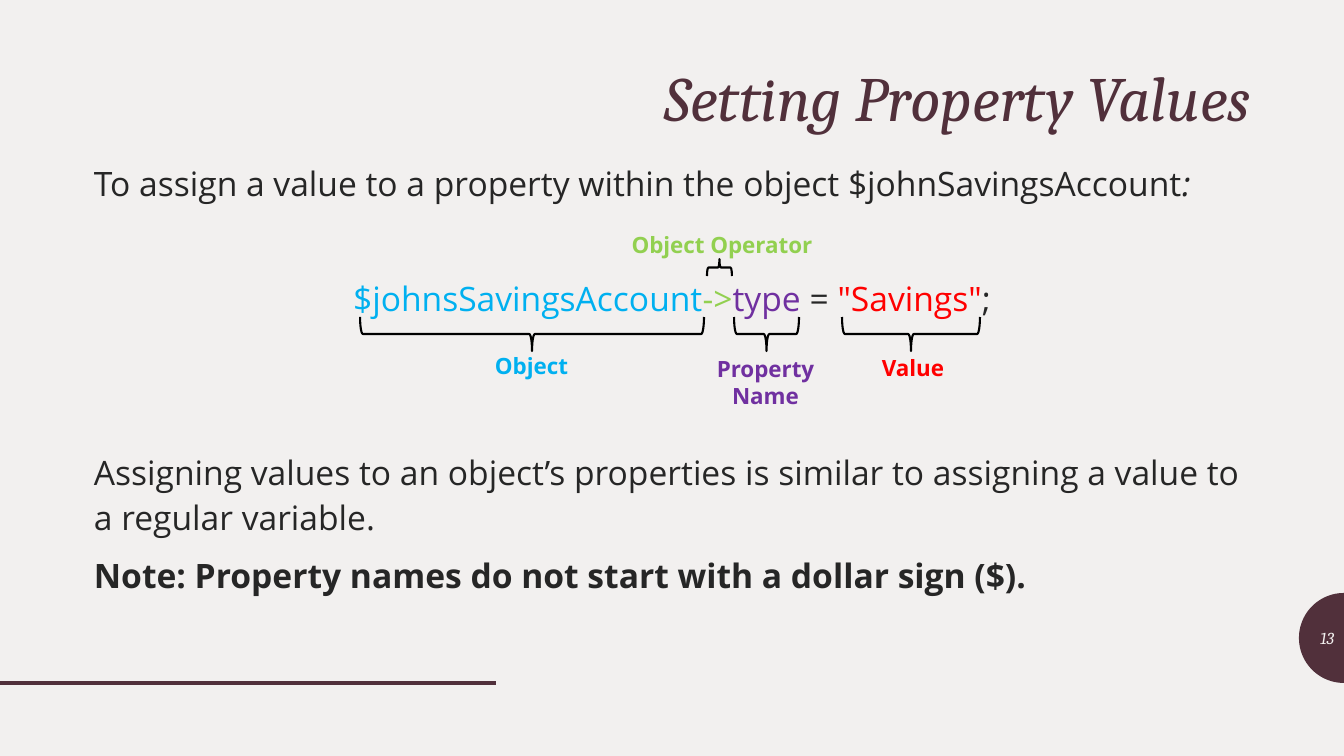
from dataclasses import dataclass
from math import cos, pi, sin

from lxml.etree import SubElement
from pptx import Presentation
from pptx.dml.color import RGBColor
from pptx.enum.shapes import MSO_CONNECTOR, MSO_SHAPE
from pptx.enum.text import MSO_ANCHOR, MSO_AUTO_SIZE, PP_ALIGN
from pptx.oxml.ns import qn
from pptx.util import Emu, Pt


@dataclass(frozen=True)
class Theme:
    background: str = "F2F0EF"
    accent: str = "51303B"
    ink: str = "262626"
    brace: str = "000000"
    object: str = "00B0F0"
    operator: str = "92D050"
    property: str = "7030A0"
    value: str = "FF0000"
    heading_font: str = "Cambria"
    body_font: str = "Open Sans"
    title_size: int = 45
    body_size: int = 24
    label_size: int = 16
    number_size: int = 12


THEME = Theme()
SLIDE_WIDTH, SLIDE_HEIGHT = 1344, 756
SCALE = 12192000 / SLIDE_WIDTH


def px(*lengths):
    return [Emu(round(length * SCALE)) for length in lengths]


def rgb(colour):
    return RGBColor.from_string(colour)


def write(frame, paragraphs, *, size, font=THEME.body_font, colour=THEME.ink, bold=False,
          italic=False, align=PP_ALIGN.LEFT, spacing=None, before=(), wrap=True,
          anchor=MSO_ANCHOR.TOP):
    """Fill a frame; each paragraph is a list of (text, overrides) runs."""
    frame.word_wrap = wrap
    frame.auto_size = MSO_AUTO_SIZE.NONE
    frame.vertical_anchor = anchor
    for index, runs in enumerate(paragraphs):
        paragraph = frame.add_paragraph() if index else frame.paragraphs[0]
        paragraph.alignment = align[index] if isinstance(align, list) else align
        if spacing:
            paragraph.line_spacing = spacing
        if before:
            paragraph.space_before = Pt(before[index])
        for text, overrides in runs:
            run = paragraph.add_run()
            run.text = text
            run.font.name = font
            run.font.size = Pt(size)
            run.font.bold = overrides.get("bold", bold)
            run.font.italic = overrides.get("italic", italic)
            run.font.color.rgb = rgb(overrides.get("colour", colour))


def add_text(slide, box, paragraphs, **text_format):
    write(slide.shapes.add_textbox(*px(*box)).text_frame, paragraphs, **text_format)


def add_title(slide, box, text):
    title = slide.shapes.title
    title.left, title.top, title.width, title.height = px(*box)
    write(title.text_frame, [[(text, {})]], size=THEME.title_size, font=THEME.heading_font,
          colour=THEME.accent, italic=True, align=PP_ALIGN.RIGHT, spacing=0.9,
          anchor=MSO_ANCHOR.MIDDLE)


def add_body(slide, box):
    statement = [
        ("$johnsSavingsAccount", {"colour": THEME.object}),
        ("->", {"colour": THEME.operator}),
        ("type", {"colour": THEME.property}),
        (" = ", {}),
        ('"Savings"', {"colour": THEME.value}),
        (";", {}),
    ]
    paragraphs = [
        [("To assign a value to a property within the object $johnSavingsAccount", {}),
         (":", {"italic": True})],
        statement,
        [("Assigning values to an object’s properties is similar to assigning "
          "a value to a regular variable.", {})],
        [("Note: Property names do not start with a dollar sign ($).", {"bold": True})],
    ]
    left = PP_ALIGN.LEFT
    add_text(slide, box, paragraphs, size=THEME.body_size, spacing=1.12,
             before=[0, 50, 92, 9], align=[left, PP_ALIGN.CENTER, left, left])


def add_brace(slide, box, rotation):
    """Draw a brace that fills the box once it is turned."""
    left, top, width, height = box
    turned = (left + (width - height) / 2, top + (height - width) / 2, height, width)
    brace = slide.shapes.add_shape(MSO_SHAPE.RIGHT_BRACE, *px(*turned))
    brace.rotation = rotation
    brace.shadow.inherit = False
    brace.fill.background()
    brace.line.color.rgb = rgb(THEME.brace)
    brace.line.width = Pt(1.5)


def add_label(slide, box, lines, colour):
    add_text(slide, box, [[(line, {})] for line in lines], wrap=False, colour=colour,
             size=THEME.label_size, bold=True, align=PP_ALIGN.CENTER)


def add_annotations(slide, box):
    left, top, _, _ = box
    annotations = [
        # lines, colour, brace box, turn, label box
        (["Object"], THEME.object, (0, 58, 344, 34), 90, (124, 88, 95, 37)),
        (["Property", "Name"], THEME.property, (374, 58, 65, 34), 90, (346, 91, 119, 64)),
        (["Value"], THEME.value, (482, 58, 138, 34), 90, (511, 90, 84, 37)),
        (["Object Operator"], THEME.operator, (347, 0, 25, 17), 270, (260, -33, 204, 37)),
    ]
    for lines, colour, brace_box, rotation, label_box in annotations:
        placed_brace, placed_label = [(left + x, top + y, width, height)
                                      for x, y, width, height in (brace_box, label_box)]
        add_brace(slide, placed_brace, rotation)
        add_label(slide, placed_label, lines, colour)


def add_page_badge(slide, box, number):
    left, top, width, height = box
    right, middle, steps = left + width, top + height / 2, 48
    arc = [(right - width * sin(pi * step / steps), middle - height / 2 * cos(pi * step / steps))
           for step in range(steps + 1)]
    points = [tuple(px(*point)) for point in arc]
    builder = slide.shapes.build_freeform(*points[0])
    builder.add_line_segments(points[1:], close=True)
    half_disc = builder.convert_to_shape()
    half_disc.shadow.inherit = False
    half_disc.fill.solid()
    half_disc.fill.fore_color.rgb = rgb(THEME.accent)
    half_disc.line.fill.background()
    add_text(slide, (left, middle - 20, width, 40), [[(number, {})]],
             size=THEME.number_size, font=THEME.heading_font, colour=THEME.background,
             italic=True, align=PP_ALIGN.RIGHT, anchor=MSO_ANCHOR.MIDDLE)


def add_footer_rule(slide, box):
    left, top, width, _ = box
    rule = slide.shapes.add_connector(MSO_CONNECTOR.STRAIGHT,
                                      *px(left, top, left + width, top))
    rule.line.color.rgb = rgb(THEME.accent)
    rule.line.width = Pt(2.25)
    SubElement(rule._element.spPr, qn("a:effectLst"))


def main():
    presentation = Presentation()
    presentation.slide_width, presentation.slide_height = px(SLIDE_WIDTH, SLIDE_HEIGHT)
    slide = presentation.slides.add_slide(presentation.slide_layouts[5])
    slide.background.fill.solid()
    slide.background.fill.fore_color.rgb = rgb(THEME.background)
    add_footer_rule(slide, (0, 683, 496, 0))
    add_title(slide, (84, 63, 1176, 77), "Setting Property Values")
    add_body(slide, (84, 153, 1176, 518))
    add_annotations(slide, (360, 259, 620, 155))
    add_page_badge(slide, (1299, 593, 45, 90), "13")
    presentation.save("out.pptx")


if __name__ == "__main__":
    main()
